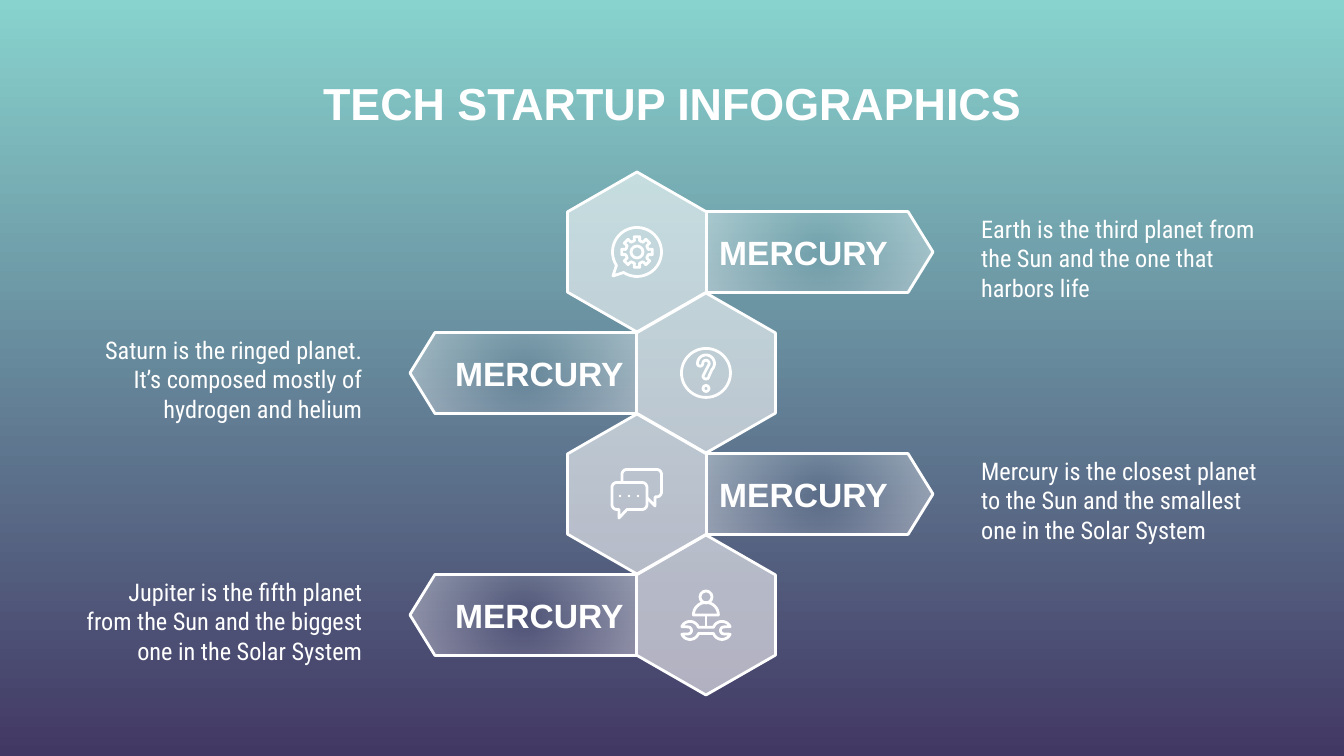
from math import cos, radians, sin

from pptx import Presentation
from pptx import util as u
from pptx.dml.color import RGBColor
from pptx.enum import shapes, text
from pptx.oxml.ns import qn
from lxml import etree

PX = 914400 / 134.4
WHITE = "FFFFFF"
BACKGROUND = ("88D3CE", "423864")
TITLE = "TECH STARTUP INFOGRAPHICS"
ROWS = [  # side, label, description, icon
    ("right", "MERCURY", "Earth is the third planet from the Sun and the one that harbors life", "gear"),
    ("left", "MERCURY", "Saturn is the ringed planet. It’s composed mostly of hydrogen and helium", "question"),
    ("right", "MERCURY", "Mercury is the closest planet to the Sun and the smallest one in the Solar System", "chat"),
    ("left", "MERCURY", "Jupiter is the fifth planet from the Sun and the biggest one in the Solar System", "worker"),
]

# Rows are laid out for the right side; the left side is mirrored.
MIRROR = 1343
FIRST_Y, STEP = 252, 121
HEX_X, HEX_LENGTH, HEX_WIDTH = 637, 160, 139
ARM_X, ARM_SHOULDER, ARM_TIP, ARM_HALF = 706, 908, 933, 40.5
LABEL_W, LABEL_H = 202, 51
BODY_X, BODY_W, BODY_H = 968, 310, 101


def arc(x, y, r, start, end, steps=16):
    """Points on a circle; angles in degrees, clockwise from the right."""
    angles = [radians(start + (end - start) * i / steps) for i in range(steps + 1)]
    return [(x + r * cos(a), y + r * sin(a)) for a in angles]


def gear_points(teeth=8, outer=15.5, inner=11.5):
    corners = [(inner, -13), (outer, -10), (outer, 10), (inner, 13)]
    return [(r * cos(radians(a + tooth * 360 / teeth)), r * sin(radians(a + tooth * 360 / teeth)))
            for tooth in range(teeth) for r, a in corners]


def wrench_points(y=15.5):
    jaw = (arc(16, y, 9, 200, 335) + arc(18, y, 3.5, 270, 90) + arc(16, y, 9, 25, 160))
    return jaw + [(-px, 2 * y - py) for px, py in jaw]


# Icon parts around the hexagon centre: round parts are (x, y, r).
ICONS = {
    "gear": [
        ("closed", arc(0, 0, 24.5, 147, 483, 48) + [(-24, 24)]),
        ("closed", gear_points()),
        ("ring", (0, 0, 6)),
    ],
    "question": [
        ("ring", (0, 0, 24.5)),
        ("closed", arc(0, -9.5, 8.5, 180, 405) + arc(0, 3, 3, 0, 180)
         + arc(0, -9.5, 3.2, 405, 180) + arc(-5.85, -9.5, 2.65, 0, 180)),
        ("ring", (0, 15.5, 3)),
    ],
    "chat": [
        ("open", [(-15, -11.5)] + arc(-10, -19.5, 5, 180, 270) + arc(19.5, -19.5, 5, 270, 360)
         + arc(19.5, -2, 5, 0, 90) + [(18, 3), (18, 12), (10, 4)]),
        ("closed", arc(-20, -6.5, 5, 180, 270) + arc(5, -6.5, 5, 270, 360)
         + arc(5, 10.5, 5, 0, 90) + [(-10, 15.5), (-18, 24), (-18, 15.5)]
         + arc(-20, 10.5, 5, 90, 180)),
        *[("dot", (x, 2, 1.2)) for x in (-17, -8, 1)],
    ],
    "worker": [
        ("ring", (0, -18, 6)),
        ("closed", arc(0, 0, 12.5, 180, 360)),
        ("open", [(0, 0), (0, 12.5)]),
        ("closed", wrench_points()),
    ],
}


def px(value):
    return u.Emu(round(value * PX))


def rgb(color):
    return RGBColor.from_string(color)


def set_alpha(shape, *percents):
    """Give the colours of the shape's fill these opacities, in order."""
    props = shape._element.spPr
    fill = next(e for e in props if e.tag in (qn("a:solidFill"), qn("a:gradFill")))
    for color, percent in zip(fill.iter(qn("a:srgbClr")), percents):
        etree.SubElement(color, qn("a:alpha"), val=str(percent * 1000))
    return fill


def two_stop_gradient(fill, first, last, angle=270):
    fill.gradient()
    fill.gradient_angle = angle
    for stop, color in zip(fill.gradient_stops, (first, last)):
        stop.color.rgb = rgb(color)


def style(shape, fill=None, line=WHITE, width=1.5):
    shape.shadow.inherit = False
    if fill:
        shape.fill.solid()
        shape.fill.fore_color.rgb = rgb(fill)
    else:
        shape.fill.background()
    if line:
        shape.line.color.rgb = rgb(line)
        shape.line.width = u.Pt(width)
    else:
        shape.line.fill.background()
    return shape


def polyline(slide, points, close):
    points = [(x * 100, y * 100) for x, y in points]
    builder = slide.shapes.build_freeform(*points[0], scale=PX / 100)
    builder.add_line_segments(points[1:], close=close)
    return style(builder.convert_to_shape())


def write(box, content, size, font="Arial", bold=False, align="LEFT", anchor="TOP"):
    frame = box.text_frame
    frame.word_wrap = True
    frame.auto_size = text.MSO_AUTO_SIZE.NONE
    frame.vertical_anchor = text.MSO_ANCHOR[anchor]
    frame.margin_left = frame.margin_right = frame.margin_top = frame.margin_bottom = u.Inches(0.1)
    frame.text = content
    paragraph = frame.paragraphs[0]
    paragraph.alignment = text.PP_ALIGN[align]
    run_font = paragraph.runs[0].font
    run_font.name, run_font.size, run_font.bold = font, u.Pt(size), bold
    run_font.color.rgb = rgb(WHITE)


def draw_icon(slide, name, x, y):
    for kind, part in ICONS[name]:
        if kind in ("ring", "dot"):
            dx, dy, r = part
            circle = slide.shapes.add_shape(
                shapes.MSO_SHAPE.OVAL, px(x + dx - r), px(y + dy - r), px(2 * r), px(2 * r))
            if kind == "dot":
                style(circle, fill=WHITE, line=None)
            else:
                style(circle)
        else:
            polyline(slide, [(x + dx, y + dy) for dx, dy in part], kind == "closed")


def draw_row(slide, y, side, label, description, icon):
    def place(left, width=0):
        return left if side == "right" else MIRROR - left - width

    align = "LEFT" if side == "right" else "RIGHT"
    body = slide.shapes.add_textbox(px(place(BODY_X, BODY_W)), px(y - 51), px(BODY_W), px(BODY_H))
    write(body, description, 13, font="Roboto Condensed", align=align)

    center = place(HEX_X)
    hexagon = slide.shapes.add_shape(
        shapes.MSO_SHAPE.HEXAGON, px(center - HEX_LENGTH / 2), px(y - HEX_WIDTH / 2),
        px(HEX_LENGTH), px(HEX_WIDTH))
    hexagon.rotation = 270
    hexagon.adjustments[0], hexagon.adjustments[1] = 0.287, 1.1547
    set_alpha(style(hexagon, fill=WHITE), 58)

    top, bottom = y - ARM_HALF, y + ARM_HALF
    outline = [(ARM_X, top), (ARM_SHOULDER, top), (ARM_TIP, y), (ARM_SHOULDER, bottom), (ARM_X, bottom)]
    arm = polyline(slide, [(place(x), py) for x, py in outline], False)
    two_stop_gradient(arm.fill, WHITE, WHITE)
    gradient = set_alpha(arm, 0, 39)
    gradient.remove(gradient.find(qn("a:lin")))
    radial = etree.SubElement(gradient, qn("a:path"), path="circle")
    etree.SubElement(radial, qn("a:fillToRect"), l="50000", t="50000", r="50000", b="50000")

    name = slide.shapes.add_textbox(
        px(place(ARM_X, LABEL_W)), px(y - 25), px(LABEL_W), px(LABEL_H))
    write(name, label, 18, bold=True, align=align, anchor="MIDDLE")
    draw_icon(slide, icon, center, y)


def main():
    deck = Presentation()
    deck.slide_width, deck.slide_height = px(1344), px(756)
    slide = deck.slides.add_slide(deck.slide_layouts[5])
    two_stop_gradient(slide.background.fill, *BACKGROUND)

    title = slide.shapes.title
    title.left, title.top, title.width, title.height = px(67), px(60), px(1210), px(85)
    write(title, TITLE, 24, bold=True, align="CENTER", anchor="MIDDLE")

    for i, row in enumerate(ROWS):
        draw_row(slide, FIRST_Y + i * STEP, *row)
    deck.save("out.pptx")


if __name__ == "__main__":
    main()
